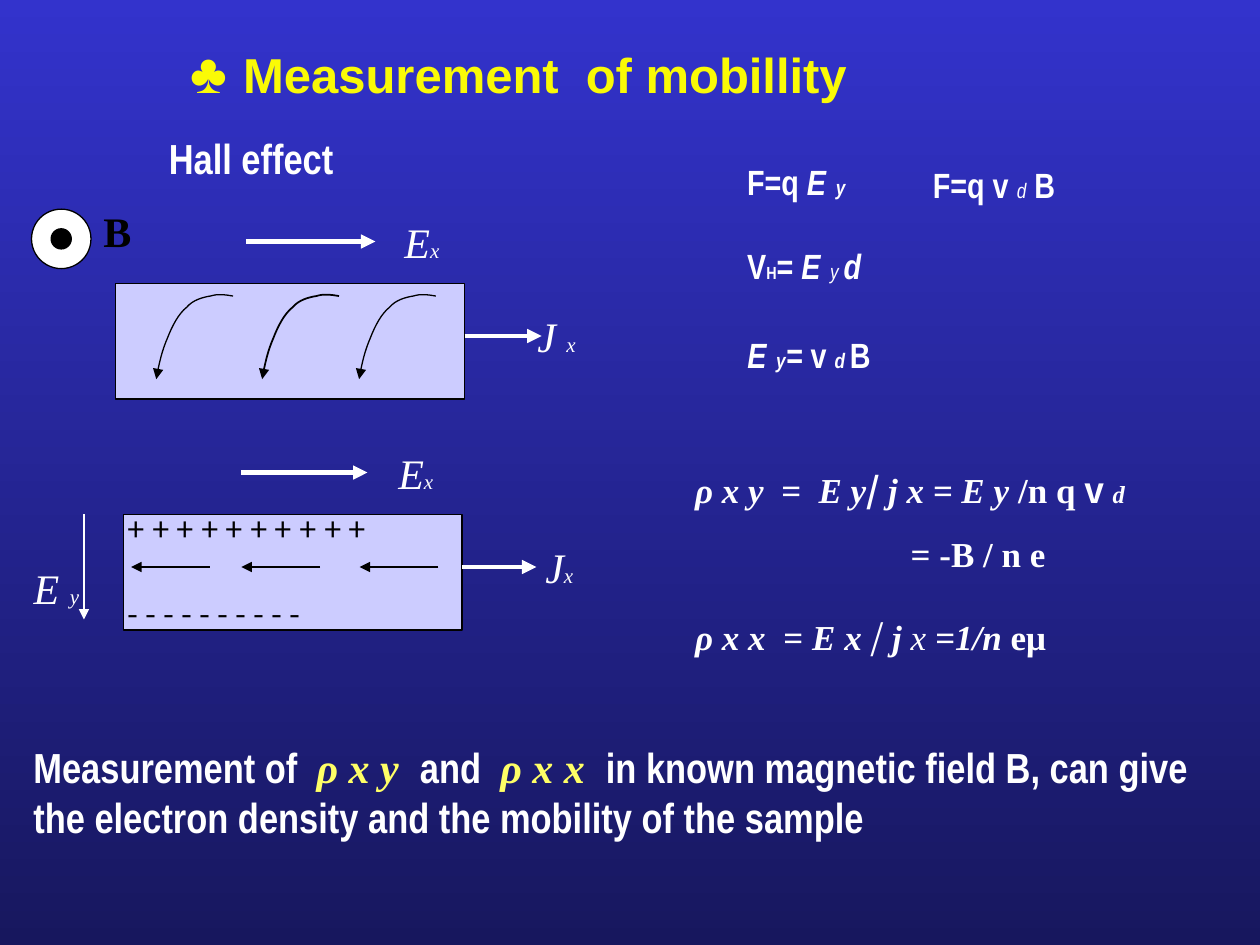
"""Build a slide on measuring mobility with the Hall effect."""
from lxml.etree import SubElement
from pptx import Presentation
from pptx.dml.color import RGBColor
from pptx.enum.shapes import MSO_CONNECTOR, MSO_SHAPE
from pptx.enum.text import MSO_ANCHOR, PP_ALIGN
from pptx.oxml.ns import qn
from pptx.util import Pt

WHITE = RGBColor(0xFF, 0xFF, 0xFF)
BLACK = RGBColor(0, 0, 0)
YELLOW = RGBColor(0xFA, 0xFA, 0x06)
PALE_YELLOW = RGBColor(0xFF, 0xFF, 0x66)
LAVENDER = RGBColor(0xCC, 0xCC, 0xFF)
BLUE = RGBColor(0x33, 0x33, 0xCC)
NAVY = RGBColor(0x17, 0x17, 0x5E)
SANS, NARROW = "Arial", "Arial Narrow"
SERIF, GOTHIC = "Times New Roman", "Noto Sans CJK KR"


def write(para, text, font=SERIF, size=24, color=WHITE, bold=False, italic=False):
    span = para.add_run()
    span.text = text
    span.font.name = font
    span.font.size = Pt(size)
    span.font.color.rgb = color
    span.font.bold = bold
    span.font.italic = italic


def add_arrowhead(shape):
    line = shape._element.spPr.find(qn("a:ln"))
    SubElement(line, qn("a:tailEnd"), type="triangle")


deck = Presentation()
deck.slide_width, deck.slide_height = Pt(720), Pt(540)
page = deck.slides.add_slide(deck.slide_layouts[6])
background = page.background.fill
background.gradient()
background.gradient_angle = 270
for stop, color in zip(background.gradient_stops, (BLUE, NAVY)):
    stop.color.rgb = color

solids = [
    (MSO_SHAPE.RECTANGLE, 70.5, 294, 193.5, 66, LAVENDER),
    (MSO_SHAPE.RECTANGLE, 66, 162, 199.5, 66, LAVENDER),
    (MSO_SHAPE.OVAL, 18, 119.5, 34, 34, WHITE),
    (MSO_SHAPE.OVAL, 29.25, 130.75, 11.5, 11.5, BLACK),
]
for kind, left, top, width, height, color in solids:
    shape = page.shapes.add_shape(kind, Pt(left), Pt(top), Pt(width), Pt(height))
    shape.shadow.inherit = False
    shape.fill.solid()
    shape.fill.fore_color.rgb = color
    shape.line.color.rgb = BLACK
    shape.line.width = Pt(0.75)

arrows = [
    (120, 324, 75, 324, BLACK, 0.75),
    (183, 324, 138, 324, BLACK, 0.75),
    (250.5, 324, 205.5, 324, BLACK, 0.75),
    (48, 294, 48, 354, WHITE, 0.75),
    (138, 270, 210, 270, WHITE, 2.75),
    (264, 324, 306.5, 324, WHITE, 2.75),
    (265.5, 192, 309.5, 192, WHITE, 2.75),
    (140.5, 138, 214.5, 138, WHITE, 2.75),
]
for start_x, start_y, end_x, end_y, color, weight in arrows:
    arrow = page.shapes.add_connector(
        MSO_CONNECTOR.STRAIGHT, Pt(start_x), Pt(start_y), Pt(end_x), Pt(end_y))
    arrow.line.color.rgb = color
    arrow.line.width = Pt(weight)
    add_arrowhead(arrow)
    SubElement(arrow._element.spPr, qn("a:effectLst"))

bends = [
    ((0, 0), (-4.3, -0.7), (-8.6, -1.4), (-13, 0)),
    ((-13, 0), (-17.3, 0.7), (-23, 2.2), (-26.6, 6.5)),
    ((-26.6, 6.5), (-31, 10), (-34.6, 16.6), (-37.4, 23.8)),
    ((-37.4, 23.8), (-40.3, 30.2), (-42.5, 38.9), (-43.9, 47.5)),
]
STEPS = 8
for start_x, weight in ((133.2, 0.75), (193.7, 1), (249.1, 0.75)):
    start_y = 169.2
    points = []
    for bend in bends:
        for step in range(1, STEPS + 1):
            t = step / STEPS
            weights = ((1 - t) ** 3, 3 * t * (1 - t) ** 2, 3 * t ** 2 * (1 - t), t ** 3)
            x = sum(w * point[0] for w, point in zip(weights, bend))
            y = sum(w * point[1] for w, point in zip(weights, bend))
            points.append((Pt(start_x + x), Pt(start_y + y)))
    builder = page.shapes.build_freeform(Pt(start_x), Pt(start_y))
    builder.add_line_segments(points, close=False)
    curve = builder.convert_to_shape()
    curve.shadow.inherit = False
    curve.fill.background()
    curve.line.color.rgb = BLACK
    curve.line.width = Pt(weight)
    add_arrowhead(curve)

variable = dict(italic=True)
index = dict(size=12, italic=True)
charge = dict(font=GOTHIC, size=18, color=BLACK)
statement = dict(font=NARROW, bold=True)
symbol = dict(color=PALE_YELLOW, bold=True, italic=True)
force = dict(font=NARROW, size=20, bold=True)
force_variable = dict(force, italic=True)
force_gap = dict(force_variable, size=24)
force_index = dict(force_variable, size=12)
light_index = dict(force_index, bold=False)
ratio = dict(size=20, bold=True)
ratio_variable = dict(ratio, italic=True)

LEFT, CENTER = PP_ALIGN.LEFT, PP_ALIGN.CENTER
texts = [
    (102, 18, 504, 46, LEFT, True, [
        ("♣ ", dict(font=SANS, size=32, color=YELLOW, bold=True)),
        ("Measurement  of mobillity", dict(font=SANS, size=28, color=YELLOW, bold=True))]),
    (66, 288, 189, 29, LEFT, True, [("+ + + + + + + + + +", charge)]),
    (66, 336, 189, 29, LEFT, True, [("- - - - - - - - - -", charge)]),
    (220.5, 252, 48, 36, LEFT, True, [("E", variable), ("x", index)]),
    (224, 120, 37.5, 36, LEFT, True, [("E", variable), ("x", index)]),
    (304.5, 306, 32, 36, LEFT, True, [("J", variable), ("x", index)]),
    (300, 174, 47, 36, LEFT, True, [("J ", variable), ("x", index)]),
    (12, 318, 40.5, 36, CENTER, False, [("E ", variable), ("y", index)]),
    (52, 114, 34, 36, LEFT, True, [("B", dict(color=BLACK, bold=True))]),
    (81.5, 72, 124, 36, CENTER, False, [("Hall effect", statement)]),
    (12, 420, 684, 65, LEFT, True, [
        ("Measurement of  ", statement), ("ρ x y  ", symbol),
        ("and  ", statement), ("ρ x x  ", symbol),
        ("in known magnetic field B, can give the electron density "
         "and the mobility of the sample", statement)]),
    (415, 84, 80, 36, CENTER, False, [
        ("F=q ", force), ("E", force_variable), (" ", force_gap), ("y", force_index)]),
    (518, 90, 100, 32, CENTER, False, [
        ("F=q v ", force), ("d", light_index), (" B", force)]),
    (411.5, 132, 96, 36, CENTER, False, [
        ("V", force), ("H", dict(force, size=10)), ("= ", force),
        ("E", force_variable), (" ", dict(force_gap, bold=False)),
        ("y ", light_index), ("d", force_variable)]),
    (420, 186, 192, 30, LEFT, True, [
        ("E", force_variable), (" ", force_gap), ("y", force_index),
        ("= ", force_variable), ("v ", force), ("d ", force_index), ("B", force)]),
    (340, 264, 360, 68, CENTER, True, [
        ("ρ x y  =  E y", ratio_variable), ("/ ", dict(ratio, font=GOTHIC)),
        ("j x = E y ", ratio_variable), ("/n q ", ratio),
        ("v ", dict(ratio, font=GOTHIC)), ("d", dict(ratio_variable, size=14))]),
    (362.5, 348, 270, 32, CENTER, True, [
        ("ρ x x  ", ratio_variable), ("= ", ratio), ("E x ", ratio_variable),
        ("/ ", dict(font=GOTHIC, size=20)), ("j ", ratio_variable),
        ("x ", dict(size=20, italic=True)), ("=1/n ", ratio_variable), ("eμ", ratio)]),
]
frames = {}
for left, top, width, height, align, wrap, spans in texts:
    box = page.shapes.add_textbox(Pt(left), Pt(top), Pt(width), Pt(height))
    frame = box.text_frame
    frame.word_wrap = wrap
    para = frame.paragraphs[0]
    para.alignment = align
    for text, style in spans:
        write(para, text, **style)
    frames[para.text] = frame

frames["E y= v d B"].vertical_anchor = MSO_ANCHOR.MIDDLE
result = frames["ρ x y  =  E y/ j x = E y /n q v d"].add_paragraph()
result.alignment = CENTER
result.space_before = Pt(12.5)
result._p.get_or_add_pPr().set("marL", str(Pt(78)))
write(result, "= -B / n e", **ratio)

deck.save("out.pptx")
